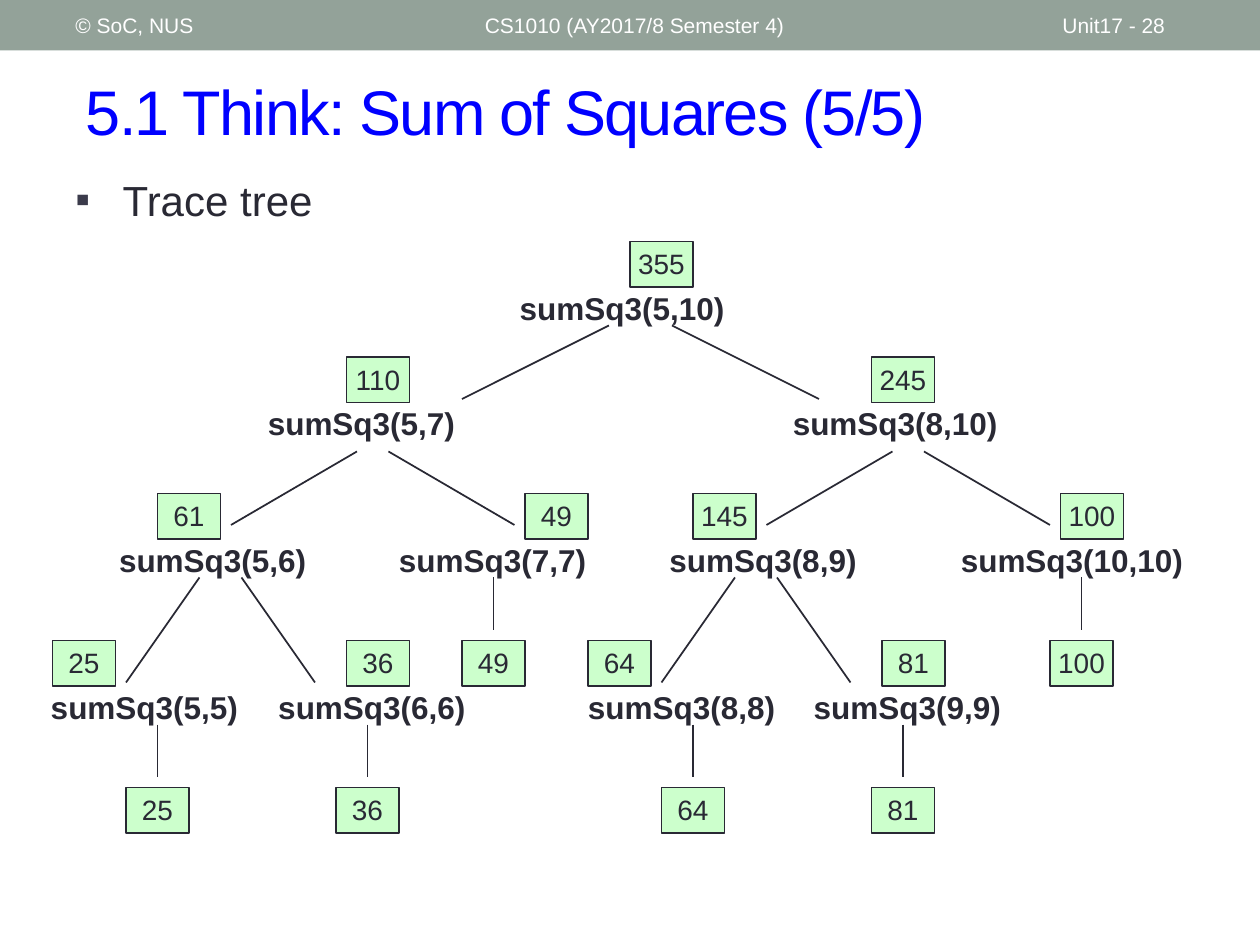
from dataclasses import dataclass

from lxml import etree
from pptx import Presentation
from pptx.dml.color import RGBColor
from pptx.enum import shapes, text
from pptx.oxml import ns
from pptx.util import Pt

SAGE = RGBColor(0x93, 0xA2, 0x99)
WHITE = RGBColor(0xFF, 0xFF, 0xFF)
BLUE = RGBColor(0x00, 0x00, 0xFF)
INK = RGBColor(0x29, 0x29, 0x34)
MINT = RGBColor(0xCC, 0xFF, 0xCC)

VALUE_WIDTH, VALUE_HEIGHT = 36, 26
LABEL_DROP, LABEL_HEIGHT = 24, 27
STEM_LENGTH, STEM_GAP = 30, 6


@dataclass
class Level:
    top: float
    line_top: float
    line_bottom: float


@dataclass
class Call:
    level: int
    arguments: str
    label_left: float
    label_width: float
    result: str
    result_left: float
    branches: tuple = ()
    stem: float = None


LEVELS = [
    Level(0, 48, 90),
    Level(66, 120, 162),
    Level(144, 192, 252),
    Level(228, 276, 306),
]

CALLS = [
    Call(0, "5,10", 270, 174, "355", 336, ((324, 240), (360, 444))),
    Call(1, "5,7", 126, 162, "110", 174, ((180, 108), (198, 270))),
    Call(1, "8,10", 426, 162, "245", 474, ((486, 414), (504, 576))),
    Call(2, "5,6", 41, 115, "61", 66, ((90, 48), (114, 156))),
    Call(2, "7,7", 201, 117, "49", 276, stem=258),
    Call(2, "8,9", 355.5, 119, "145", 372, ((396, 354), (420, 462))),
    Call(2, "10,10", 522, 137, "100", 582, stem=594),
    Call(3, "5,5", 2, 118, "25", 6, stem=66),
    Call(3, "6,6", 132, 120, "36", 174, stem=186),
    Call(3, "8,8", 309, 117, "64", 312, stem=372),
    Call(3, "9,9", 438, 119, "81", 480, stem=492),
]


def write(shape, content, size, color, bold=False, anchor=text.MSO_ANCHOR.TOP,
          align=text.PP_ALIGN.LEFT, inset=None):
    frame = shape.text_frame
    frame.word_wrap = True
    frame.vertical_anchor = anchor
    if inset is not None:
        frame.margin_left = frame.margin_right = Pt(inset)
        frame.margin_top = frame.margin_bottom = Pt(inset)
    paragraph = frame.paragraphs[0]
    paragraph.alignment = align
    run = paragraph.add_run()
    run.text = content
    run.font.name = "Arial"
    run.font.size = Pt(size)
    run.font.bold = bold
    run.font.color.rgb = color
    return paragraph, run


def add_text(slide, left, top, width, height, content, size, color, **style):
    shape = slide.shapes.add_textbox(Pt(left), Pt(top), Pt(width), Pt(height))
    return write(shape, content, size, color, **style)


def add_rectangle(slide, left, top, width, height, fill):
    shape = slide.shapes.add_shape(
        shapes.MSO_SHAPE.RECTANGLE, Pt(left), Pt(top), Pt(width), Pt(height))
    shape.shadow.inherit = False
    shape.fill.solid()
    shape.fill.fore_color.rgb = fill
    shape.line.fill.background()
    return shape


def add_value(slide, left, top, value):
    shape = add_rectangle(slide, left, top, VALUE_WIDTH, VALUE_HEIGHT, MINT)
    shape.line.color.rgb = INK
    shape.line.width = Pt(1)
    write(shape, value, 16, INK, align=text.PP_ALIGN.CENTER, inset=3)


def add_line(slide, start_x, start_y, end_x, end_y):
    connector = slide.shapes.add_connector(
        shapes.MSO_CONNECTOR.STRAIGHT, Pt(start_x), Pt(start_y), Pt(end_x), Pt(end_y))
    connector.line.color.rgb = INK
    connector.line.width = Pt(1)
    etree.SubElement(connector._element.spPr, ns.qn("a:effectLst"))


def add_header(slide, left, top, width, height):
    add_rectangle(slide, left, top, width, height, SAGE)
    for offset, field_width, content in (
        (36, 228, "© SoC, NUS"),
        (270, 324, "CS1010 (AY2017/8 Semester 4)"),
        (600, 84, "Unit17 - 28"),
    ):
        add_text(slide, left + offset, top + 1.5, field_width, height - 3, content,
                 12, WHITE, anchor=text.MSO_ANCHOR.MIDDLE)


def add_title(slide, left, top, width, height):
    paragraph, run = add_text(slide, left, top, width, height,
                              "5.1 Think: Sum of Squares (5/5)", 36, BLUE,
                              anchor=text.MSO_ANCHOR.MIDDLE)
    run._r.get_or_add_rPr().set("spc", "-100")


def add_bullet_line(slide, left, top, width, height):
    paragraph, run = add_text(slide, left, top, width, height, "Trace tree", 24, INK)
    properties = paragraph._p.get_or_add_pPr()
    properties.set("marL", str(Pt(27)))
    properties.set("indent", str(Pt(-27)))
    bullet_color = etree.SubElement(properties, ns.qn("a:buClr"))
    etree.SubElement(bullet_color, ns.qn("a:srgbClr"), val="3B3B4B")
    etree.SubElement(properties, ns.qn("a:buFont"), typeface="Arial")
    etree.SubElement(properties, ns.qn("a:buChar"), char="▪")


def add_call(slide, left, top, call):
    level = LEVELS[call.level]
    line_top = top + level.line_top
    add_value(slide, left + call.result_left, top + level.top, call.result)
    add_text(slide, left + call.label_left, top + level.top + LABEL_DROP,
             call.label_width, LABEL_HEIGHT, f"sumSq3({call.arguments})",
             18, INK, bold=True, inset=3)
    for start_x, end_x in call.branches:
        add_line(slide, left + start_x, line_top, left + end_x, top + level.line_bottom)
    if call.stem is not None:
        stem_x, stem_bottom = left + call.stem, line_top + STEM_LENGTH
        add_line(slide, stem_x, line_top, stem_x, stem_bottom)
        add_value(slide, stem_x - VALUE_WIDTH / 2, stem_bottom + STEM_GAP, call.result)


def add_trace_tree(slide, left, top):
    for call in CALLS:
        add_call(slide, left, top, call)


def main():
    presentation = Presentation()
    presentation.slide_width = Pt(720)
    presentation.slide_height = Pt(540)
    slide = presentation.slides.add_slide(presentation.slide_layouts[6])
    add_header(slide, 0, 0, 720, 28.8)
    add_title(slide, 42, 30, 660, 66)
    add_bullet_line(slide, 36, 96, 198, 42)
    add_trace_tree(slide, 24, 138)
    presentation.save("out.pptx")


if __name__ == "__main__":
    main()
